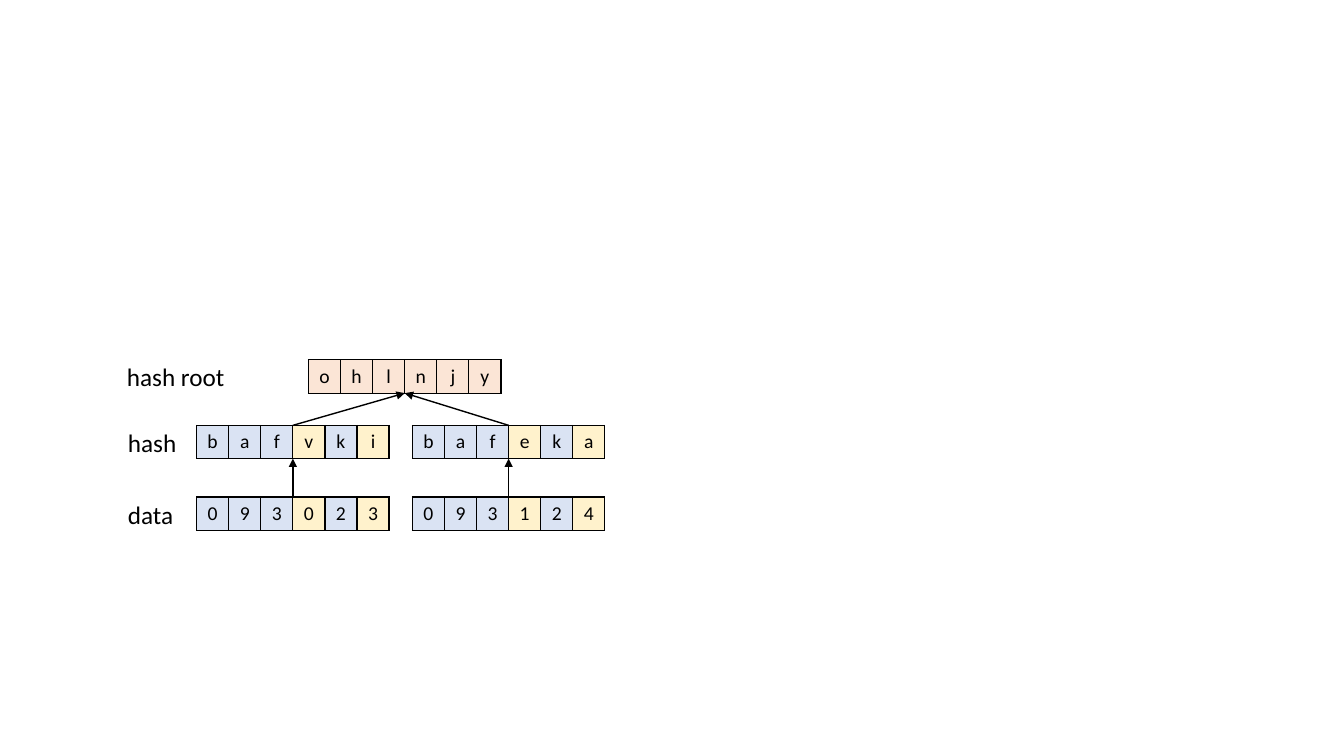
from dataclasses import dataclass
from lxml.etree import SubElement
from pptx import Presentation
from pptx.dml.color import RGBColor
from pptx.enum.shapes import MSO_CONNECTOR as Connector
from pptx.enum.text import MSO_ANCHOR as Anchor, MSO_AUTO_SIZE as AutoSize, PP_ALIGN as Align
from pptx.oxml.ns import qn
from pptx.util import Inches, Pt


@dataclass(frozen=True)
class Theme:
    font: str = "Calibri"
    ink: str = "000000"
    same: str = "DAE3F3"
    changed: str = "FFF2CC"
    root: str = "FBE5D6"
    label_size: int = 18
    cell_size: int = 14
    line_width: int = 1


THEME = Theme()
LEVELS = [
    {"label": "hash root", "top": 3.57, "label_box": (1.16, 1.18), "words": {3.06: "ohlnjy"}},
    {"label": "hash", "top": 4.22, "label_box": (1.17, 0.69), "words": {1.95: "bafvki", 4.09: "bafeka"}},
    {"label": "data", "top": 4.93, "label_box": (1.17, 0.66), "words": {1.95: "093023", 4.09: "093124"}},
]
CELL_WIDTH, CELL_HEIGHT = 0.3183, 0.33
LABEL_HEIGHT, LABEL_RISE = 0.4, 0.03


def assign(target, values):
    for name, value in values.items():
        setattr(target, name, value)


def write(frame, text, size, align):
    para = frame.paragraphs[0]
    para.alignment = align
    span = para.add_run()
    span.text = text
    assign(span.font, {"name": THEME.font, "size": Pt(size)})
    span.font.color.rgb = RGBColor.from_string(THEME.ink)


def add_label(page, level):
    left, width = level["label_box"]
    box = page.shapes.add_textbox(
        Inches(left), Inches(level["top"] - LABEL_RISE), Inches(width), Inches(LABEL_HEIGHT))
    assign(box.text_frame, {"word_wrap": False, "auto_size": AutoSize.SHAPE_TO_FIT_TEXT})
    write(box.text_frame, level["label"], THEME.label_size, Align.LEFT)


def add_border(cell):
    properties = cell._tc.get_or_add_tcPr()
    for position, side in enumerate(("lnL", "lnR", "lnT", "lnB")):
        line = SubElement(properties, qn(f"a:{side}"), w=str(Pt(THEME.line_width)))
        properties.insert(position, line)
        fill = SubElement(line, qn("a:solidFill"))
        SubElement(fill, qn("a:srgbClr"), val=THEME.ink)


def add_word(page, word, fills, left, top):
    table = page.shapes.add_table(
        1, len(word), Inches(left), Inches(top),
        Inches(CELL_WIDTH * len(word)), Inches(CELL_HEIGHT)).table
    assign(table, {"first_row": False, "horz_banding": False})
    for column, letter, fill in zip(range(len(word)), word, fills):
        table.columns[column].width = Inches(CELL_WIDTH)
        cell = table.cell(0, column)
        assign(cell, {"margin_left": 0, "margin_right": 0, "margin_top": 0, "margin_bottom": 0,
                      "vertical_anchor": Anchor.MIDDLE})
        cell.fill.solid()
        cell.fill.fore_color.rgb = RGBColor.from_string(fill)
        add_border(cell)
        write(cell.text_frame, letter, THEME.cell_size, Align.CENTER)


def add_arrow(page, start, end):
    arrow = page.shapes.add_connector(Connector.STRAIGHT, *map(Inches, start + end))
    arrow.line.width = Pt(THEME.line_width)
    arrow.line.color.rgb = RGBColor.from_string(THEME.ink)
    SubElement(arrow.line._get_or_add_ln(), qn("a:tailEnd"), type="triangle")
    SubElement(arrow._element.spPr, qn("a:effectLst"))


def word_fills(words):
    if len(words) == 1:
        return [THEME.root] * len(words[0])
    return [THEME.same if len(set(letters)) == 1 else THEME.changed for letters in zip(*words)]


def centers(level):
    return [left + CELL_WIDTH * len(word) / 2 for left, word in level["words"].items()]


def main():
    deck = Presentation()
    assign(deck, {"slide_width": Inches(13.33), "slide_height": Inches(7.5)})
    page = deck.slides.add_slide(deck.slide_layouts[6])
    for level in LEVELS:
        add_label(page, level)
        fills = word_fills(list(level["words"].values()))
        for left, word in level["words"].items():
            add_word(page, word, fills, left, level["top"])
    for upper, lower in zip(LEVELS, LEVELS[1:]):
        for center in centers(lower):
            target = min(centers(upper), key=lambda middle: abs(middle - center))
            add_arrow(page, (center, lower["top"]), (target, upper["top"] + CELL_HEIGHT))
    deck.save("out.pptx")


if __name__ == "__main__":
    main()
